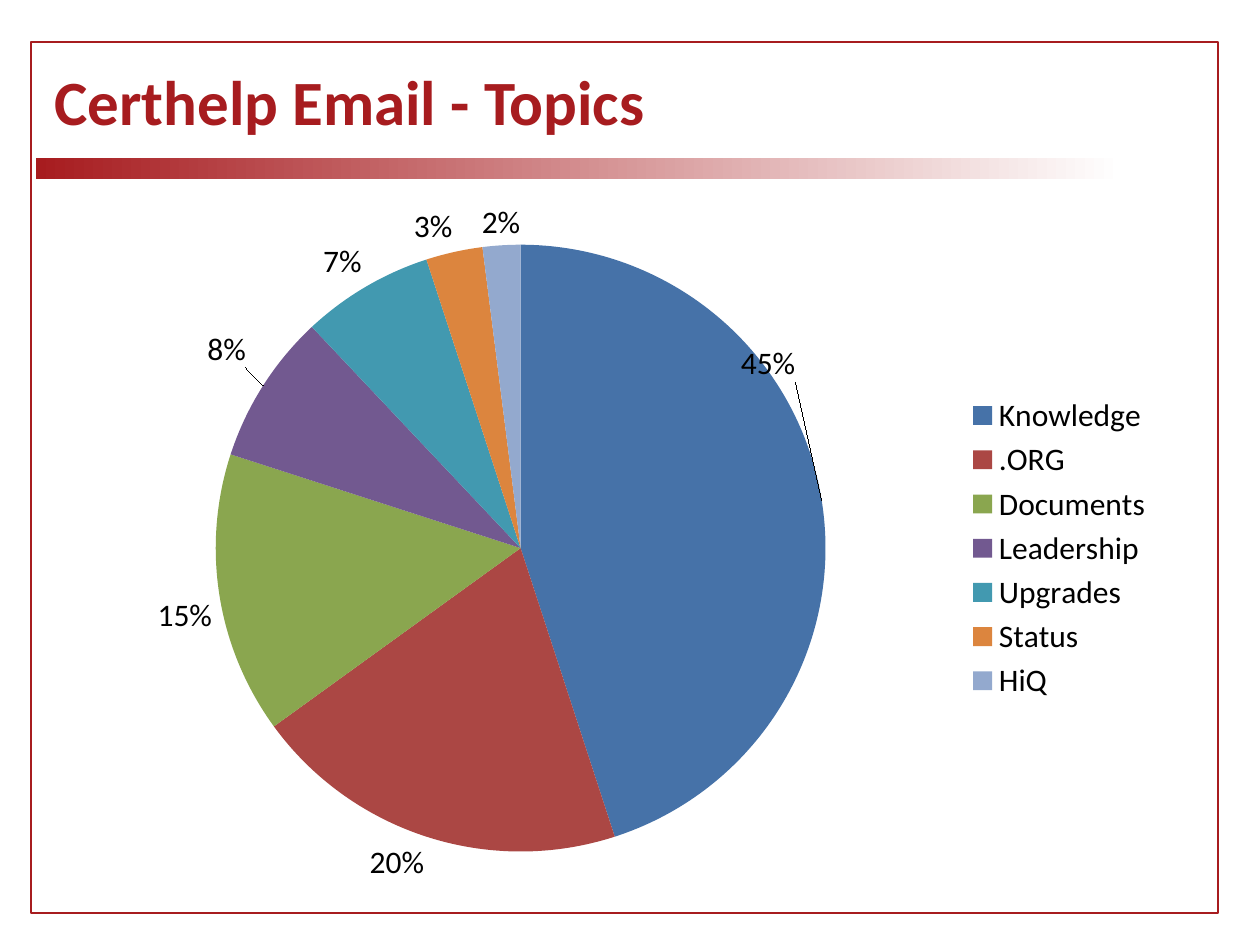
from lxml import etree
from pptx import Presentation
from pptx import util as u
from pptx.chart.data import CategoryChartData
from pptx.dml.color import RGBColor
from pptx.enum import chart as ch, shapes, text
from pptx.oxml.ns import qn

EMU_PER_PX = 914400 / 126
RED = RGBColor(0xA7, 0x1C, 0x1F)
WHITE = RGBColor(0xFF, 0xFF, 0xFF)
BLACK = RGBColor(0x00, 0x00, 0x00)

# Topic, share of the emails, slice colour
TOPICS = [
    ("Knowledge", 0.45, RGBColor(0x46, 0x72, 0xA8)),
    (".ORG", 0.20, RGBColor(0xAB, 0x47, 0x44)),
    ("Documents", 0.15, RGBColor(0x8A, 0xA6, 0x4F)),
    ("Leadership", 0.08, RGBColor(0x72, 0x59, 0x90)),
    ("Upgrades", 0.07, RGBColor(0x42, 0x99, 0xB0)),
    ("Status", 0.03, RGBColor(0xDC, 0x85, 0x3E)),
    ("HiQ", 0.02, RGBColor(0x93, 0xA9, 0xCE)),
]
# Labels moved off their slice, as shares of the chart size
LABEL_SHIFTS = {0: (-0.08, -0.17), 3: (-0.01, -0.02)}
CHART_FONT = {"name": "Calibri", "size": u.Pt(18)}
TITLE_FONT = {"name": "Calibri", "size": u.Pt(36), "bold": True}


def px(*lengths):
    return [u.Emu(round(length * EMU_PER_PX)) for length in lengths]


def set_font(font, values, color):
    for name, value in values.items():
        setattr(font, name, value)
    font.color.rgb = color


def add_rectangle(slide, *box):
    rectangle = slide.shapes.add_shape(shapes.MSO_SHAPE.RECTANGLE, *px(*box))
    rectangle.shadow.inherit = False
    return rectangle


def add_frame(slide, *box):
    frame = add_rectangle(slide, *box)
    frame.fill.background()
    frame.line.color.rgb = RED
    frame.line.width = u.Pt(1.5)


def add_fading_bar(slide, *box):
    bar = add_rectangle(slide, *box)
    bar.line.fill.background()
    bar.fill.gradient()
    bar.fill.gradient_angle = 0
    for stop, color in zip(bar.fill.gradient_stops, (RED, WHITE)):
        stop.color.rgb = color


def add_title(slide, wording, *box):
    frame = slide.shapes.add_textbox(*px(*box)).text_frame
    frame.word_wrap = True
    frame.vertical_anchor = text.MSO_ANCHOR.MIDDLE
    run = frame.paragraphs[0].add_run()
    run.text = wording
    set_font(run.font, TITLE_FONT, RED)


def set_layout(parent, index, **values):
    """Give a chart part a manual layout as its child at index."""
    for old in parent.findall(qn("c:layout")):
        parent.remove(old)
    layout = etree.Element(qn("c:layout"))
    manual = etree.SubElement(layout, qn("c:manualLayout"))
    for name, value in values.items():
        etree.SubElement(manual, qn(f"c:{name}")).set("val", str(value))
    parent.insert(index, layout)


def add_topic_pie(slide, *box):
    data = CategoryChartData(number_format="0%")
    names, shares, colors = zip(*TOPICS)
    data.categories = names
    data.add_series("Series 1", shares)
    chart = slide.shapes.add_chart(ch.XL_CHART_TYPE.PIE, *px(*box), data).chart
    chart.has_title = False
    set_font(chart.font, CHART_FONT, BLACK)

    # Legend
    chart.has_legend = True
    chart.legend.position = ch.XL_LEGEND_POSITION.RIGHT
    chart.legend.include_in_layout = False
    set_font(chart.legend.font, CHART_FONT, BLACK)

    # Slices and their labels
    plot = chart.plots[0]
    plot.vary_by_categories = True
    series = plot.series[0]
    labels = series.data_labels
    for name, value in {"show_value": True, "number_format": "0%",
                        "number_format_is_linked": False,
                        "position": ch.XL_LABEL_POSITION.OUTSIDE_END}.items():
        setattr(labels, name, value)
    set_font(labels.font, CHART_FONT, BLACK)
    for index, color in enumerate(colors):
        fill = series.points[index].format.fill
        fill.solid()
        fill.fore_color.rgb = color

    # Moved labels
    for index, (x, y) in LABEL_SHIFTS.items():
        label = series.points[index].data_label
        label.position = ch.XL_LABEL_POSITION.OUTSIDE_END
        set_font(label.font, CHART_FONT, BLACK)
    for element in chart.element.iter(qn("c:dLbl")):
        x, y = LABEL_SHIFTS[int(element.find(qn("c:idx")).get("val"))]
        set_layout(element, 1, x=x, y=y)

    # Plot area
    plot_area = next(chart.element.iter(qn("c:plotArea")))
    set_layout(plot_area, 0, layoutTarget="inner", xMode="edge", yMode="edge",
               x=0.04, y=0.06, w=0.75, h=0.88)


def main():
    deck = Presentation()
    deck.slide_width, deck.slide_height = px(1260, 945)
    slide = deck.slides.add_slide(deck.slide_layouts[6])
    add_frame(slide, 31, 42, 1187, 871)
    add_fading_bar(slide, 36, 158, 1087, 21)
    add_title(slide, "Certhelp Email - Topics", 42, 21, 1134, 158)
    add_topic_pie(slide, 63, 200, 1103, 693)
    deck.save("out.pptx")


if __name__ == "__main__":
    main()
